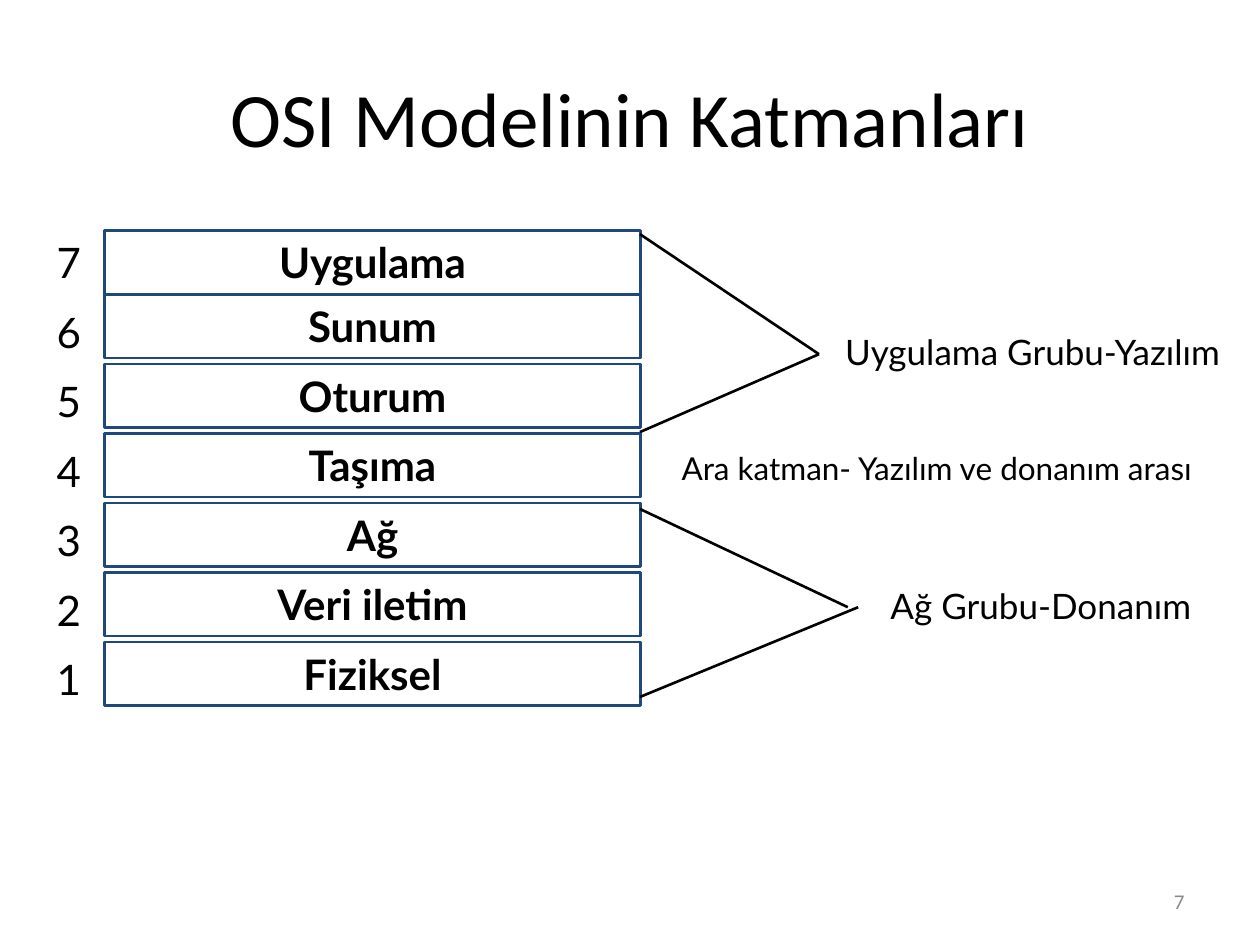
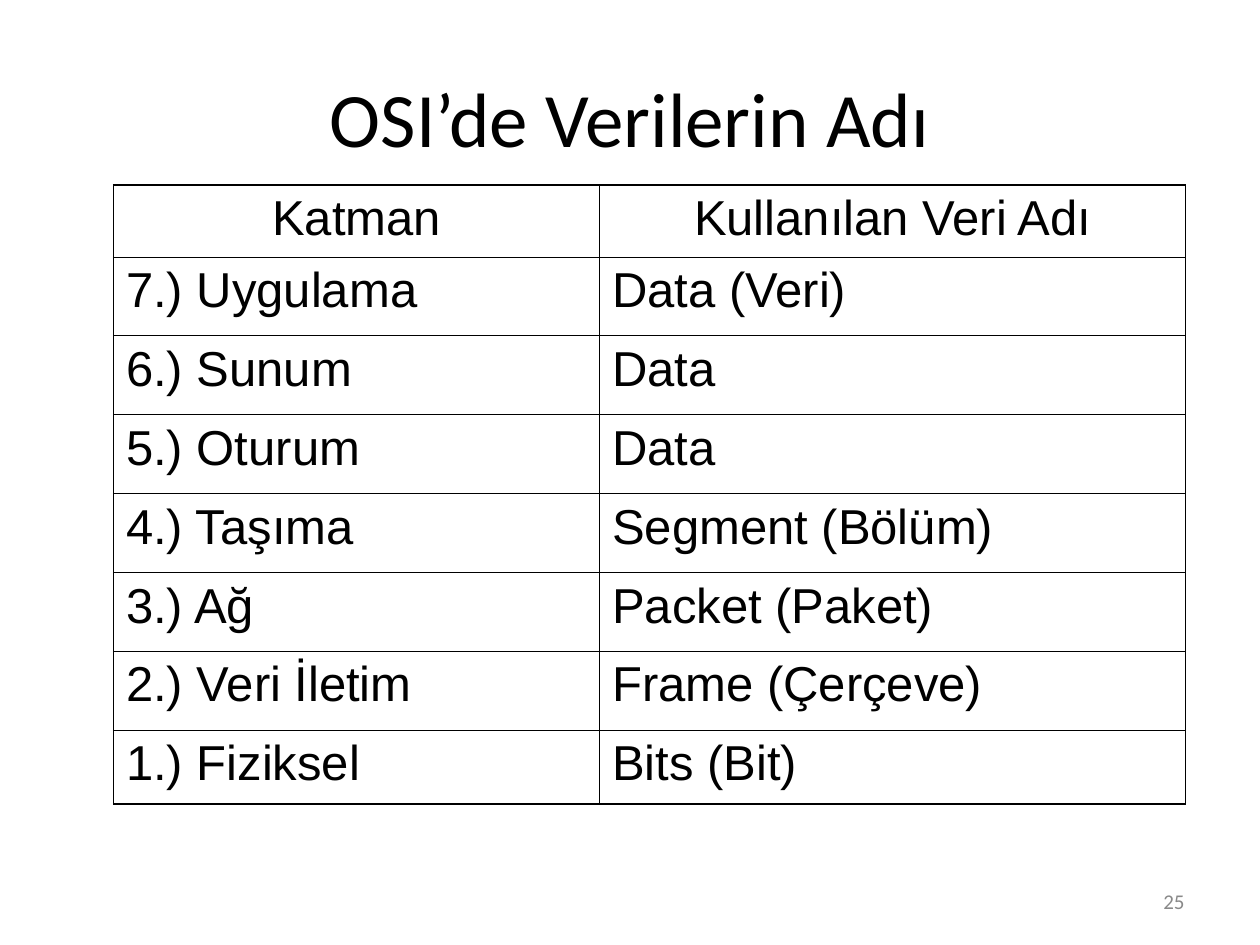
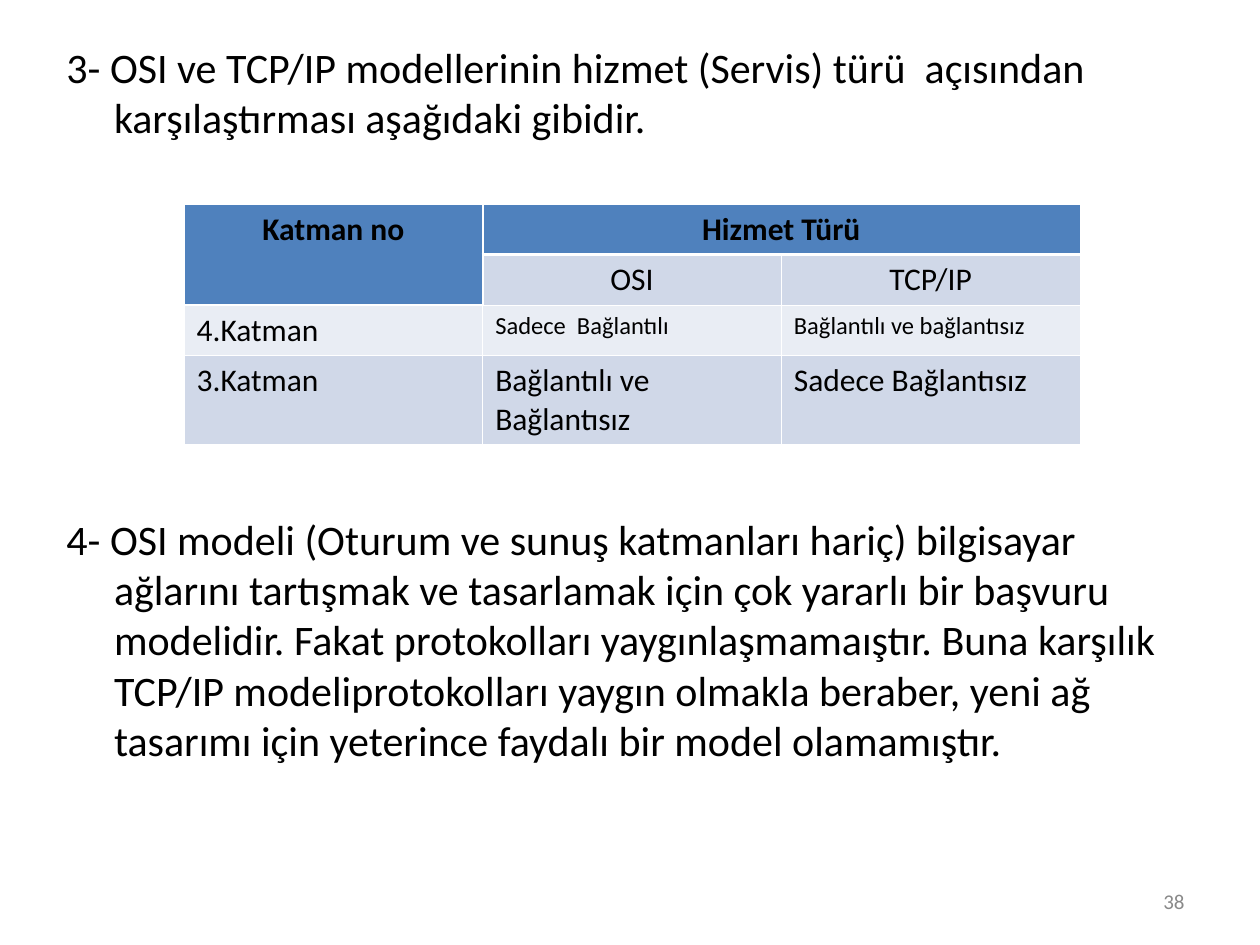
import pptx
import pptx.dml.color
import pptx.enum.shapes
import pptx.enum.text
import pptx.oxml
import pptx.oxml.ns
import pptx.util

Cm = pptx.util.Cm
Pt = pptx.util.Pt
Align = pptx.enum.text.PP_ALIGN
Anchor = pptx.enum.text.MSO_ANCHOR
BLACK, NAVY, GREY, WHITE = "000000", "1F497D", "898989", "FFFFFF"
BLUE, PALE, LIGHT = "4F81BD", "D0D8E8", "E9EDF4"
BODY, LABEL, GRID = "Calibri", "Lato", "Arial"


def tint(code):
    return pptx.dml.color.RGBColor.from_string(code)


class Deck:
    """Holds the deck style and the current slide, and draws each kind of element."""

    def __init__(self):
        self.prs = pptx.Presentation()
        self.prs.slide_width, self.prs.slide_height = Cm(25.4), Cm(19.05)
        self.slide = None

    def start(self, number, title=None):
        layout = self.prs.slide_layouts[5 if title else 6]
        self.slide = self.prs.slides.add_slide(layout)
        if title:
            head = self.slide.shapes.title
            head.left, head.top, head.width, head.height = Cm(1.27), Cm(0.76), Cm(22.86), Cm(3.18)
            head.text_frame.vertical_anchor = Anchor.MIDDLE
            self.put(head.text_frame, title, 44, align=Align.CENTER)
        self.text(number, 18.21, 17.65, 5.92, 1.02, 12, color=GREY,
                  align=Align.RIGHT, anchor=Anchor.MIDDLE)

    def put(self, frame, words, size, font=BODY, color=BLACK, bold=False, align=Align.LEFT):
        para = frame.paragraphs[0]
        if para.runs:
            para = frame.add_paragraph()
        para.alignment = align
        run = para.add_run()
        run.text = words
        run.font.size, run.font.name, run.font.bold = Pt(size), font, bold
        run.font.color.rgb = tint(color)
        return para

    def text(self, words, left, top, width, height, size, wrap=True, anchor=Anchor.TOP, **style):
        box = self.slide.shapes.add_textbox(Cm(left), Cm(top), Cm(width), Cm(height))
        box.text_frame.word_wrap = wrap
        box.text_frame.vertical_anchor = anchor
        self.put(box.text_frame, words, size, **style)

    def items(self, texts, left, top, width, height, size, gaps):
        box = self.slide.shapes.add_textbox(Cm(left), Cm(top), Cm(width), Cm(height))
        box.text_frame.word_wrap = True
        for words, gap in zip(texts, gaps):
            para = self.put(box.text_frame, words, size)
            para.space_before = Pt(gap)
            props = para._p.get_or_add_pPr()
            props.set("marL", str(Cm(0.96)))
            props.set("indent", str(-Cm(0.96)))

    def rect(self, words, left, top, width, height):
        shape = self.slide.shapes.add_shape(
            pptx.enum.shapes.MSO_SHAPE.RECTANGLE, Cm(left), Cm(top), Cm(width), Cm(height))
        shape.shadow.inherit = False
        shape.fill.background()
        shape.line.color.rgb, shape.line.width = tint(NAVY), Pt(1.5)
        shape.text_frame.vertical_anchor = Anchor.TOP
        self.put(shape.text_frame, words, 24, LABEL, bold=True, align=Align.CENTER)

    def line(self, x1, y1, x2, y2):
        line = self.slide.shapes.add_connector(
            pptx.enum.shapes.MSO_CONNECTOR.STRAIGHT, Cm(x1), Cm(y1), Cm(x2), Cm(y2))
        line.line.color.rgb, line.line.width = tint(BLACK), Pt(1.5)
        props = line._element.spPr
        props.append(props.makeelement(pptx.oxml.ns.qn("a:effectLst"), {}))

    def edge(self, cell, widths, color):
        props = cell._tc.get_or_add_tcPr()
        for side, width in zip("LRTB", widths):
            props.append(pptx.oxml.parse_xml(
                f'<a:ln{side} {pptx.oxml.ns.nsdecls("a")} w="{Pt(width)}"><a:solidFill>'
                f'<a:srgbClr val="{color}"/></a:solidFill></a:ln{side}>'))

    def table(self, rows, left, top, widths, heights, color, look, sides):
        frame = self.slide.shapes.add_table(
            len(rows), len(widths), Cm(left), Cm(top), Cm(sum(widths)), Cm(sum(heights)))
        grid = frame.table
        grid.first_row = grid.horz_banding = False
        for col, width in zip(grid.columns, widths):
            col.width = Cm(width)
        for row, height in zip(grid.rows, heights):
            row.height = Cm(height)
        for r, row in enumerate(rows):
            for c, words in enumerate(row):
                cell = grid.cell(r, c)
                self.edge(cell, sides(r, c), color)
                fill, style = look(r, c)
                if fill:
                    cell.fill.solid()
                    cell.fill.fore_color.rgb = tint(fill)
                else:
                    cell.fill.background()
                if words:
                    self.put(cell.text_frame, words, **style)
        return grid


def layers(deck):
    deck.start("7", "OSI Modelinin Katmanları")
    names = ["Uygulama", "Sunum", "Oturum", "Taşıma", "Ağ", "Veri iletim", "Fiziksel"]
    for i, name in enumerate(names):
        top = 4.65 + 1.4 * i
        deck.rect(name, 2.11, top - 0.11 if i else top, 10.8, 1.28)
        deck.text(str(len(names) - i), 0.89, top, 0.99, 1.28, 24, wrap=False, font=LABEL)
    for start, tip, level in [(4.72, 16.51, 7.14), (8.71, 16.51, 7.14),
                              (10.26, 17.09, 12.24), (14.05, 17.3, 12.24)]:
        deck.line(12.9, start, tip, level)
    for words, left, top, width, size in [
            ("Uygulama Grubu-Yazılım", 16.79, 6.53, 8.61, 20),
            ("Ara katman- Yazılım ve donanım arası", 13.49, 8.92, 11.4, 18),
            ("Ağ Grubu-Donanım", 17.7, 11.66, 7.7, 20)]:
        deck.text(words, left, top, width, 1.12, size, font=LABEL)


def units(deck):
    deck.start("25", "OSI’de Verilerin Adı")
    rows = [("Katman", "Kullanılan Veri Adı"), ("7.) Uygulama", "Data (Veri)"),
            ("6.) Sunum", "Data"), ("5.) Oturum", "Data"),
            ("4.) Taşıma", "Segment (Bölüm)"), ("3.) Ağ", "Packet (Paket)"),
            ("2.) Veri İletim", "Frame (Çerçeve)"), ("1.) Fiziksel", "Bits (Bit)")]

    def look(r, c):
        return None, dict(size=28, font=GRID, align=Align.LEFT if r else Align.CENTER)

    def sides(r, c):
        outer = (c == 0, c == 1, r == 0, r == len(rows) - 1)
        return [1.08 if out else 0.45 for out in outer]

    deck.table(rows, 2.29, 3.73, [9.8, 11.81], [1.45] + [1.59] * 6 + [1.49], BLACK, look, sides)


def service(deck):
    deck.start("38")
    deck.items([
        "3- OSI ve TCP/IP modellerinin hizmet (Servis) türü  açısından karşılaştırması "
        "aşağıdaki gibidir.",
        "4- OSI modeli (Oturum ve sunuş katmanları hariç) bilgisayar ağlarını tartışmak ve "
        "tasarlamak için çok yararlı bir başvuru modelidir. Fakat protokolları "
        "yaygınlaşmamaıştır. Buna karşılık TCP/IP modeliprotokolları yaygın olmakla beraber, "
        "yeni ağ tasarımı için yeterince faydalı bir model olamamıştır."],
        1.09, 0.71, 22.86, 16, 24, (6, 212))
    rows = [("Katman no", "Hizmet Türü", None), (None, "OSI", "TCP/IP"),
            ("4.Katman", "Sadece  Bağlantılı", "Bağlantılı ve bağlantısız"),
            ("3.Katman", "Bağlantılı ve Bağlantısız", "Sadece Bağlantısız")]

    def look(r, c):
        head = r == 0 or (r, c) == (1, 0)
        fill = BLUE if head else LIGHT if r == 2 else PALE
        return fill, dict(size=14 if r == 2 and c else 18, bold=head,
                          align=Align.CENTER if r < 2 else Align.LEFT)

    def sides(r, c):
        thick = (r < 2 and c == 1, r < 2 and c == 0,
                 (r == 1 and c > 0) or (r, c) == (2, 0), r == 0 or (r, c) == (1, 0))
        return [1.47 if flag else 0.45 for flag in thick]

    grid = deck.table(rows, 3.71, 4.11, [6.02] * 3, [1.02] * 3 + [1.78], WHITE, look, sides)
    grid.cell(0, 0).merge(grid.cell(1, 0))
    grid.cell(0, 1).merge(grid.cell(0, 2))


def main():
    deck = Deck()
    layers(deck)
    units(deck)
    service(deck)
    deck.prs.save("out.pptx")


if __name__ == "__main__":
    main()
